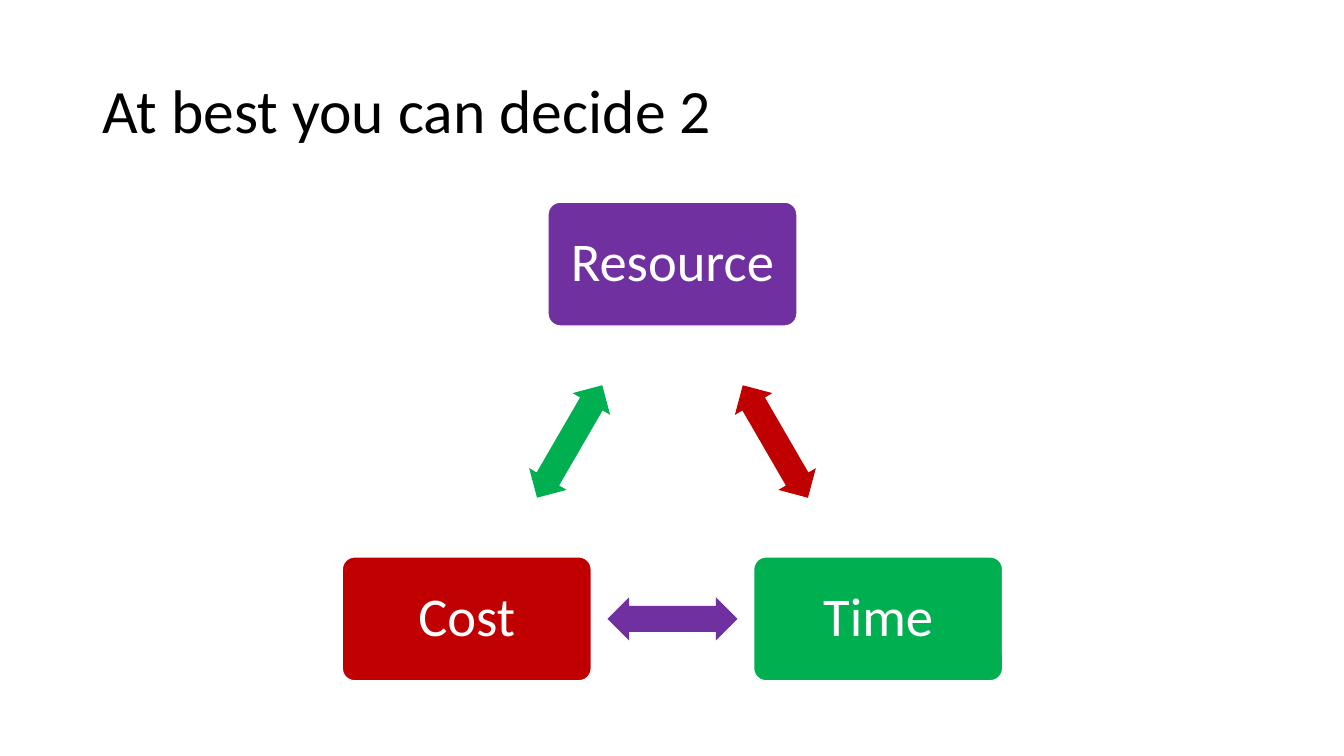
from math import atan2, degrees

from pptx import Presentation
from pptx.dml.color import RGBColor
from pptx.enum.shapes import MSO_SHAPE
from pptx.enum.text import MSO_ANCHOR, MSO_AUTO_SIZE, PP_ALIGN
from pptx.util import Inches, Pt

ROUNDED = MSO_SHAPE.ROUNDED_RECTANGLE
DOUBLE_ARROW = MSO_SHAPE.LEFT_RIGHT_ARROW
MIDDLE = MSO_ANCHOR.MIDDLE
NO_AUTOFIT = MSO_AUTO_SIZE.NONE
LEFT, CENTER = PP_ALIGN.LEFT, PP_ALIGN.CENTER

COLORS = {
    "purple": "7030A0",
    "green": "00B050",
    "red": "C00000",
    "white": "FFFFFF",
    "black": "000000",
}
TITLE_ONLY = 5
BOX_SIZE = (2.47, 1.23)
ARROW_SIZE = (1.29, 0.43)


def color(name):
    return RGBColor.from_string(COLORS[name])


class TriangleSlide:
    """Holds the text style and the slide being built."""

    font_name = "Calibri"

    def __init__(self, presentation):
        layout = presentation.slide_layouts[TITLE_ONLY]
        self.slide = presentation.slides.add_slide(layout)

    def set_text(self, shape, text, size, text_color, alignment):
        frame = shape.text_frame
        frame.text = text
        frame.word_wrap = True
        frame.auto_size = NO_AUTOFIT
        frame.vertical_anchor = MIDDLE
        paragraph = frame.paragraphs[0]
        paragraph.alignment = alignment
        paragraph.line_spacing = 0.9
        paragraph.font.name = self.font_name
        paragraph.font.size = Pt(size)
        paragraph.font.color.rgb = color(text_color)

    def title(self, text):
        shape = self.slide.shapes.title
        shape.left, shape.top = Inches(0.92), Inches(0.4)
        shape.width, shape.height = Inches(11.5), Inches(1.45)
        self.set_text(shape, text, 44, "black", LEFT)

    def centered_shape(self, kind, center, size, fill):
        (x, y), (width, height) = center, size
        shape = self.slide.shapes.add_shape(
            kind, Inches(x - width / 2), Inches(y - height / 2),
            Inches(width), Inches(height))
        shape.shadow.inherit = False
        shape.fill.solid()
        shape.fill.fore_color.rgb = color(fill)
        return shape

    def box(self, text, center, fill):
        shape = self.centered_shape(ROUNDED, center, BOX_SIZE, fill)
        shape.adjustments[0] = 0.1
        shape.line.color.rgb = color("white")
        shape.line.width = Pt(1)
        self.set_text(shape, text, 39, "white", CENTER)

    def arrow_between(self, start, end, fill):
        (x1, y1), (x2, y2) = start, end
        middle = ((x1 + x2) / 2, (y1 + y2) / 2)
        shape = self.centered_shape(DOUBLE_ARROW, middle, ARROW_SIZE, fill)
        shape.adjustments[0] = 0.6
        shape.adjustments[1] = 0.5
        shape.line.fill.background()
        shape.rotation = degrees(atan2(y2 - y1, x2 - x1)) % 360


def main():
    presentation = Presentation()
    presentation.slide_width = Inches(13.33)
    presentation.slide_height = Inches(7.5)

    triangle = TriangleSlide(presentation)
    triangle.title("At best you can decide 2")

    # Corners: label, center, box color, color of the arrow to the next corner
    corners = [
        ("Resource", (6.67, 2.62), "purple", "red"),
        ("Time", (8.71, 6.14), "green", "purple"),
        ("Cost", (4.63, 6.14), "red", "green"),
    ]
    following = corners[1:] + corners[:1]
    for corner, next_corner in zip(corners, following):
        label, center, box_fill, arrow_fill = corner
        triangle.box(label, center, box_fill)
        triangle.arrow_between(center, next_corner[1], arrow_fill)

    presentation.save("out.pptx")


if __name__ == "__main__":
    main()
